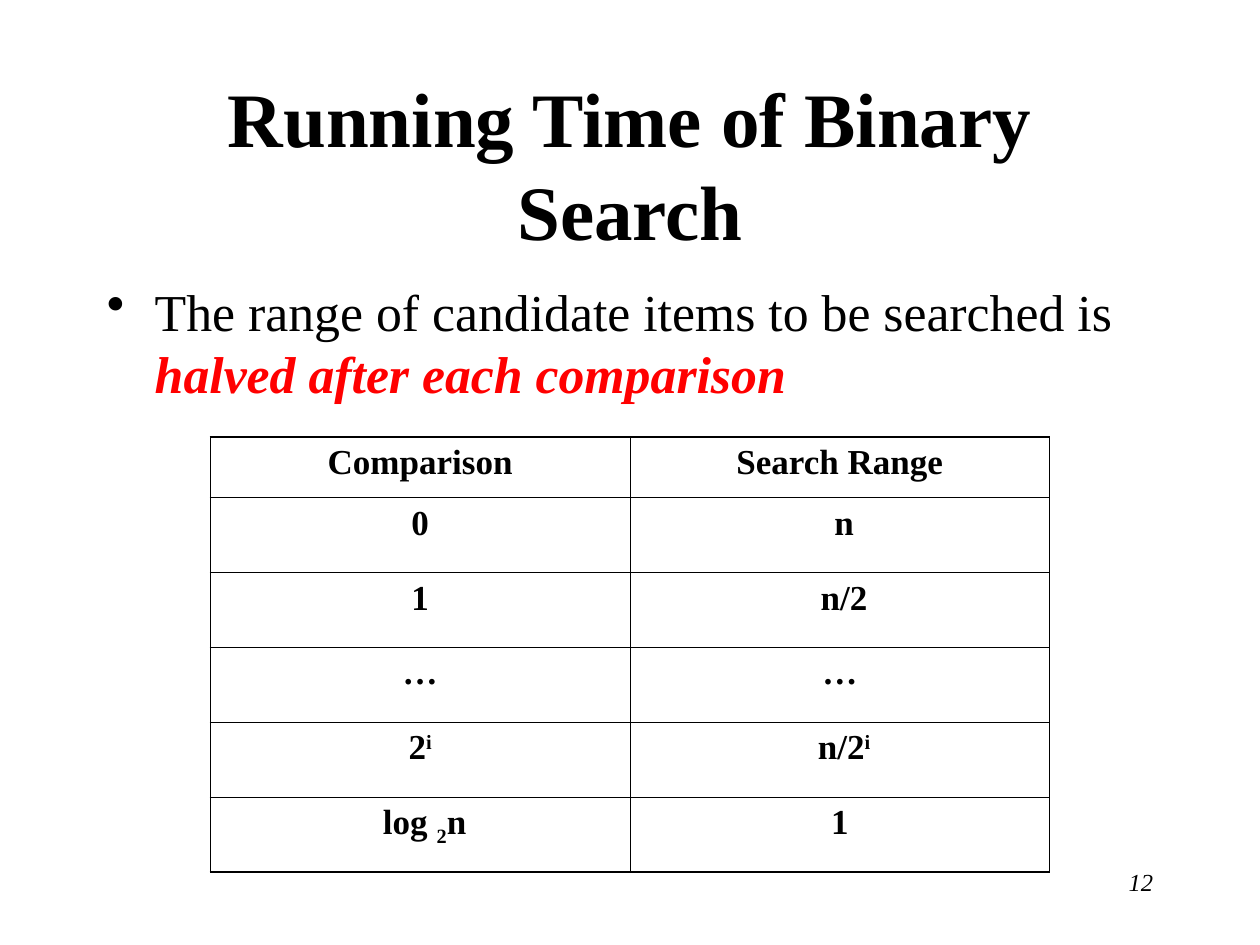
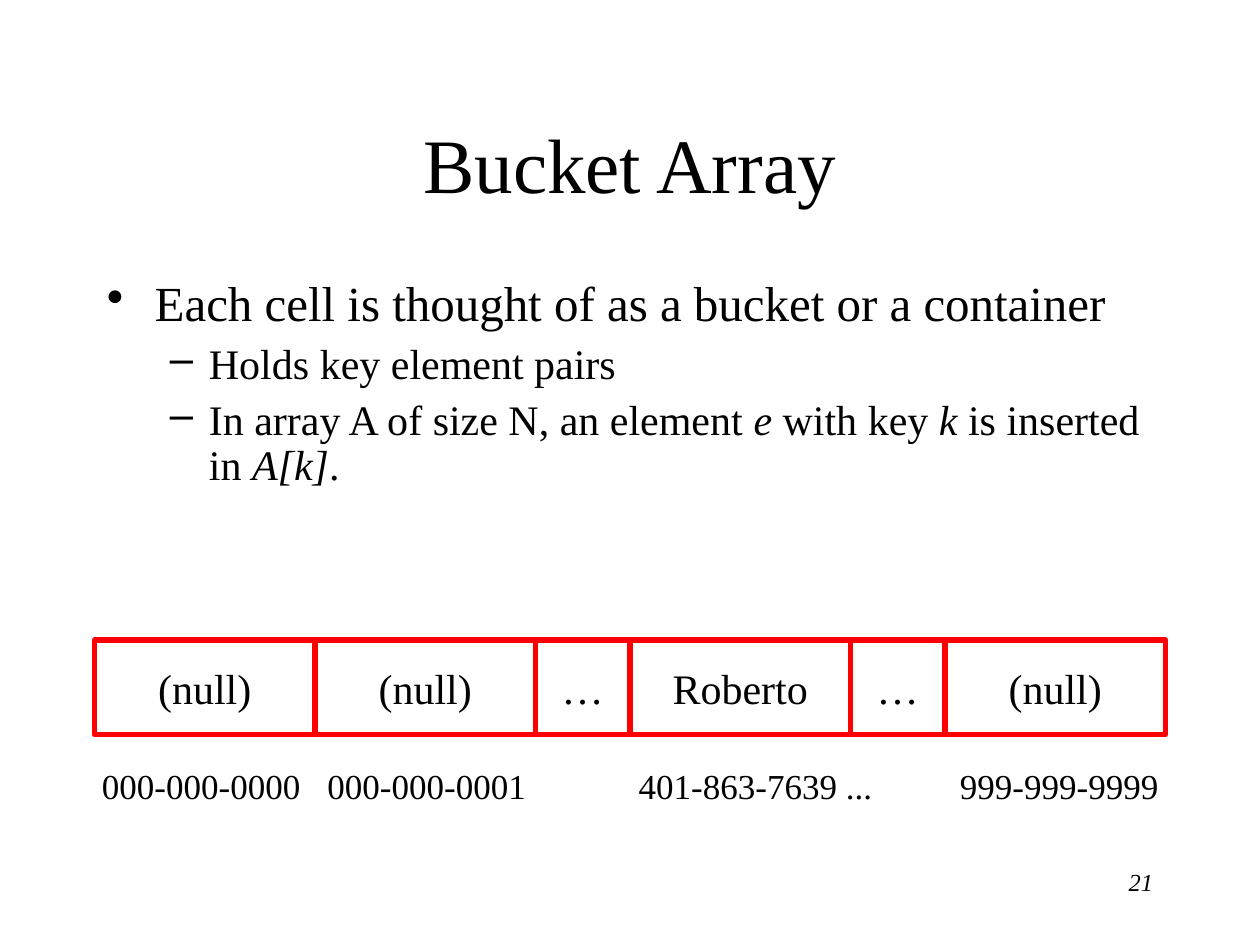
from itertools import accumulate

from lxml.etree import SubElement
from pptx import Presentation
from pptx.dml.color import RGBColor
from pptx.enum.shapes import MSO_SHAPE
from pptx.enum.text import MSO_ANCHOR, MSO_AUTO_SIZE, PP_ALIGN
from pptx.oxml.ns import qn
from pptx.util import Inches, Pt

BLACK = RGBColor(0x00, 0x00, 0x00)
RED = RGBColor(0xFF, 0x00, 0x00)
FONT = "Times New Roman"
MARGIN = 0.75
CONTENT_WIDTH = 8.5
OUTER_LINE, INNER_LINE = 1.08, 0.45
BULLETS = [("•", 0.38, 0.38), ("–", 0.81, 0.31)]
ITALIC = {"italic": True}
SUPERSCRIPT = {"baseline": 30}
SUBSCRIPT = {"baseline": -25}


def write(paragraph, parts, size, align=PP_ALIGN.LEFT, bold=False):
    paragraph.alignment = align
    for part in [parts] if isinstance(parts, str) else parts:
        text, style = (part, {}) if isinstance(part, str) else part
        run = paragraph.add_run()
        run.text = text
        font = run.font
        font.name = FONT
        font.size = Pt(size)
        font.bold = style.get("bold", bold)
        font.italic = style.get("italic", False)
        font.color.rgb = style.get("color", BLACK)
        if "baseline" in style:
            run._r.get_or_add_rPr().set("baseline", str(style["baseline"] * 1000))


def add_text_box(slide, left, top, width, height, wrap=True):
    box = slide.shapes.add_textbox(Inches(left), Inches(top), Inches(width), Inches(height))
    box.text_frame.word_wrap = wrap
    return box.text_frame


def add_slide(presentation, title_text, number, bold=False):
    slide = presentation.slides.add_slide(presentation.slide_layouts[5])
    title = slide.shapes.title
    title.left, title.top = Inches(MARGIN), Inches(0.67)
    title.width, title.height = Inches(CONTENT_WIDTH), Inches(1.25)
    frame = title.text_frame
    frame.auto_size = MSO_AUTO_SIZE.NONE
    frame.vertical_anchor = MSO_ANCHOR.MIDDLE
    write(frame.paragraphs[0], title_text, 44, PP_ALIGN.CENTER, bold)
    footer = add_text_box(slide, 7.17, 6.83, 2.08, 0.5)
    write(footer.paragraphs[0], [(str(number), ITALIC)], 14, PP_ALIGN.RIGHT)
    return slide


def set_bullet(paragraph, level):
    character, indent, hanging = BULLETS[level]
    paragraph.level = level
    properties = paragraph._p.get_or_add_pPr()
    properties.set("marL", str(Inches(indent)))
    properties.set("indent", str(-Inches(hanging)))
    color = SubElement(properties, qn("a:buClr"))
    SubElement(color, qn("a:srgbClr"), val=str(BLACK))
    SubElement(properties, qn("a:buChar"), char=character)


def add_bullets(slide, height, items, line_spacing=1.0):
    frame = add_text_box(slide, MARGIN, 2.17, CONTENT_WIDTH, height)
    for index, (level, size, parts) in enumerate(items):
        paragraph = frame.add_paragraph() if index else frame.paragraphs[0]
        set_bullet(paragraph, level)
        paragraph.line_spacing = line_spacing
        paragraph.space_before = Pt(6 if index else 0)
        write(paragraph, parts, size)


def set_borders(cell, widths):
    properties = cell._tc.get_or_add_tcPr()
    for side, width in zip("LRTB", widths):
        line = SubElement(properties, qn(f"a:ln{side}"), w=str(Pt(width)))
        fill = SubElement(line, qn("a:solidFill"))
        SubElement(fill, qn("a:srgbClr"), val=str(BLACK))


def add_table(slide, left, top, width, height, header_height, rows):
    row_count, column_count = len(rows), len(rows[0])
    table = slide.shapes.add_table(
        row_count, column_count, Inches(left), Inches(top), Inches(width), Inches(height)
    ).table
    table.first_row = table.horz_banding = False
    body_height = (height - header_height) / (row_count - 1)
    for row_index, row in enumerate(rows):
        table.rows[row_index].height = Inches(body_height if row_index else header_height)
        for column_index, parts in enumerate(row):
            cell = table.cell(row_index, column_index)
            edges = (
                column_index == 0,
                column_index == column_count - 1,
                row_index == 0,
                row_index == row_count - 1,
            )
            set_borders(cell, [OUTER_LINE if edge else INNER_LINE for edge in edges])
            cell.fill.background()
            write(cell.text_frame.paragraphs[0], parts, 20, PP_ALIGN.CENTER, True)


def add_bucket(slide, left, width, text):
    bucket = slide.shapes.add_shape(
        MSO_SHAPE.RECTANGLE, Inches(left), Inches(5.08), Inches(width), Inches(0.75)
    )
    bucket.shadow.inherit = False
    bucket.fill.background()
    bucket.line.color.rgb = RED
    bucket.line.width = Pt(3)
    frame = bucket.text_frame
    frame.word_wrap = False
    frame.vertical_anchor = MSO_ANCHOR.MIDDLE
    write(frame.paragraphs[0], text, 24, PP_ALIGN.CENTER)


def add_key_labels(slide, labels, tab_stops):
    paragraph = add_text_box(slide, 0.71, 6.02, 8.66, 0.44, wrap=False).paragraphs[0]
    tab_list = SubElement(paragraph._p.get_or_add_pPr(), qn("a:tabLst"))
    for stop in tab_stops:
        SubElement(tab_list, qn("a:tab"), pos=str(Inches(stop)), algn="l")
    write(paragraph, "\t".join(labels), 20)


def build_running_time(presentation):
    slide = add_slide(presentation, "Running Time of Binary Search", 12, bold=True)
    emphasis = {"bold": True, "italic": True, "color": RED}
    add_bullets(slide, 1.17, [
        (0, 29.6, [
            "The range of candidate items to be searched is ",
            ("halved after each comparison", emphasis),
        ]),
    ])
    add_table(slide, 1.67, 3.47, 6.66, 3.45, 0.48, [
        ("Comparison", "Search Range"),
        ("0", " n"),
        ("1", " n/2"),
        ("…", "…"),
        (["2", ("i", SUPERSCRIPT)], [" n/2", ("i", SUPERSCRIPT)]),
        ([" log ", ("2", SUBSCRIPT), "n"], "1"),
    ])


def build_bucket_array(presentation):
    slide = add_slide(presentation, "Bucket Array", 21)
    add_bullets(slide, 1.92, [
        (0, 28, "Each cell is thought of as a bucket or a container"),
        (1, 24, "Holds key element pairs"),
        (1, 24, [
            "In array A of size N, an element ", ("e", ITALIC), " with key ", ("k", ITALIC),
            " is inserted in ", ("A[k]", ITALIC), ".",
        ]),
    ], line_spacing=0.9)
    buckets = ["(null)", "(null)", "…", "Roberto", "…", "(null)"]
    widths = [0.75 if text == "…" else 1.75 for text in buckets]
    for left, width, text in zip(accumulate(widths, initial=MARGIN), widths, buckets):
        add_bucket(slide, left, width, text)
    keys = ["000-000-0000", "000-000-0001", "401-863-7639 ...", "999-999-9999"]
    add_key_labels(slide, keys, [1.79, 4.26, 6.81])


def main():
    presentation = Presentation()
    presentation.slide_width, presentation.slide_height = Inches(10), Inches(7.5)
    build_running_time(presentation)
    build_bucket_array(presentation)
    presentation.save("out.pptx")


if __name__ == "__main__":
    main()
